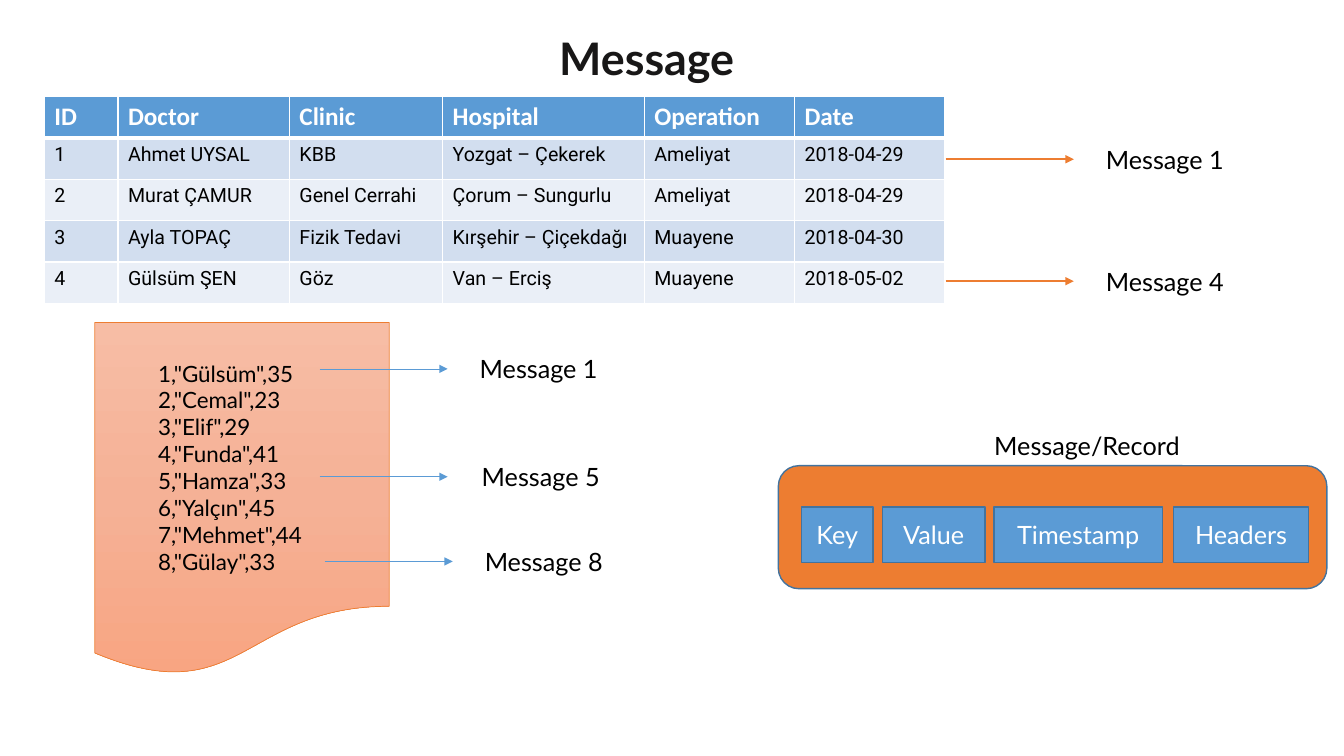
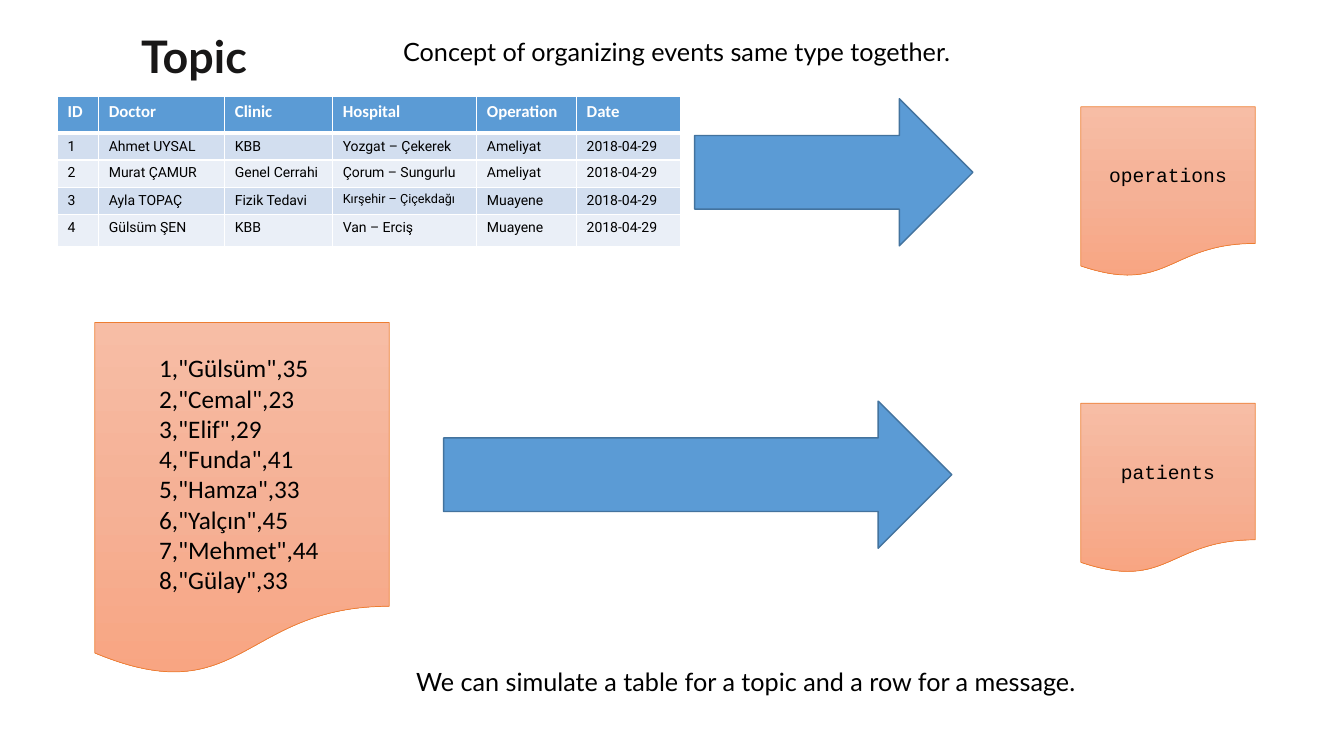
from copy import deepcopy

from lxml import etree
from pptx import Presentation
from pptx import util as u
from pptx.dml.color import RGBColor
from pptx.enum import shapes, text
from pptx.oxml import ns

PX = 9144  # EMU per px, 100 px to the inch
BLACK = RGBColor(0x00, 0x00, 0x00)
WHITE = RGBColor(0xFF, 0xFF, 0xFF)
TITLE_INK = RGBColor(0x18, 0x17, 0x17)
BLUE = RGBColor(0x5B, 0x9B, 0xD5)
BLUE_EDGE = RGBColor(0x43, 0x73, 0x9E)
ORANGE = RGBColor(0xED, 0x7D, 0x31)
BANDS = (RGBColor(0xD2, 0xDE, 0xEF), RGBColor(0xEA, 0xEF, 0xF7))
PAPER_STOPS = (
    (0, RGBColor(0xF7, 0xBD, 0xA5)),
    (0.5, RGBColor(0xF5, 0xB1, 0x96)),
    (1, RGBColor(0xF8, 0xA5, 0x82)),
)
LATO, CALIBRI, ROBOTO, COURIER = "Lato", "Calibri", "Roboto", "Courier New"
LEFT, CENTER = text.PP_ALIGN.LEFT, text.PP_ALIGN.CENTER
TOP, MIDDLE, BOTTOM = (
    text.MSO_ANCHOR.TOP, text.MSO_ANCHOR.MIDDLE, text.MSO_ANCHOR.BOTTOM)
SHAPE = shapes.MSO_SHAPE

HEADINGS = ("ID", "Doctor", "Clinic", "Hospital", "Operation", "Date")
OPERATIONS = (
    ("1", "Ahmet UYSAL", "KBB", "Yozgat – Çekerek", "Ameliyat"),
    ("2", "Murat ÇAMUR", "Genel Cerrahi", "Çorum – Sungurlu", "Ameliyat"),
    ("3", "Ayla TOPAÇ", "Fizik Tedavi", "Kırşehir – Çiçekdağı", "Muayene"),
    ("4", "Gülsüm ŞEN", "Göz", "Van – Erciş", "Muayene"),
)
PATIENTS = (
    '1,"Gülsüm",35\n2,"Cemal",23\n3,"Elif",29\n4,"Funda",41\n'
    '5,"Hamza",33\n6,"Yalçın",45\n7,"Mehmet",44\n8,"Gülay",33'
)


def px(*lengths):
    return [u.Emu(length * PX) for length in lengths]


def set_cell_borders(cell, top, bottom):
    """Draw white borders; call before the cell is filled."""
    properties = cell._tc.get_or_add_tcPr()
    for side, points in (("L", 1), ("R", 1), ("T", top), ("B", bottom)):
        line = etree.SubElement(
            properties, ns.qn(f"a:ln{side}"), w=str(u.Pt(points)))
        fill = etree.SubElement(line, ns.qn("a:solidFill"))
        etree.SubElement(fill, ns.qn("a:srgbClr"), val=str(WHITE))


class Deck:
    def __init__(self):
        self.presentation = Presentation()
        self.presentation.slide_width, self.presentation.slide_height = px(1333, 750)
        self.slide = None

    def new_slide(self):
        self.slide = self.presentation.slides.add_slide(
            self.presentation.slide_layouts[6])

    def set_text(self, frame, content, size, font=LATO, color=BLACK, bold=False,
                 align=LEFT, anchor=TOP, spacing=None):
        frame.word_wrap = True
        frame.vertical_anchor = anchor
        frame.text = content
        for paragraph in frame.paragraphs:
            paragraph.alignment = align
            paragraph.line_spacing = spacing
            paragraph.font.name = font
            paragraph.font.size = u.Pt(size)
            paragraph.font.bold = bold
            paragraph.font.color.rgb = color

    def text(self, box, content, size=18, **style):
        textbox = self.slide.shapes.add_textbox(*px(*box))
        self.set_text(textbox.text_frame, content, size, **style)

    def title(self, box, content):
        self.text(box, content, 32, color=TITLE_INK, bold=True,
                  align=CENTER, anchor=BOTTOM, spacing=0.9)

    def shape(self, kind, box, fill=BLUE, line=BLUE_EDGE, width=1):
        shape = self.slide.shapes.add_shape(kind, *px(*box))
        shape.shadow.inherit = False
        shape.fill.solid()
        shape.fill.fore_color.rgb = fill
        shape.line.color.rgb = line
        shape.line.width = u.Pt(width)
        return shape

    def field(self, box, name):
        shape = self.shape(SHAPE.RECTANGLE, box)
        self.set_text(shape.text_frame, name, 18, color=WHITE,
                      align=CENTER, anchor=MIDDLE)

    def document(self, box, name=""):
        shape = self.shape(SHAPE.FLOWCHART_DOCUMENT, box, line=ORANGE, width=0.5)
        shape.fill.gradient()
        shape.fill.gradient_angle = 270
        stop_list = shape._element.xpath(".//a:gsLst")[0]
        stop_list.insert(1, deepcopy(stop_list[0]))
        for stop, (position, color) in zip(shape.fill.gradient_stops, PAPER_STOPS):
            stop.position = position
            stop.color.rgb = color
        if name:
            self.set_text(shape.text_frame, name, 14, COURIER,
                          align=CENTER, anchor=MIDDLE)

    def labelled_arrow(self, x, y, label, color, width, gap=22):
        end = x + 127
        arrow = self.slide.shapes.add_connector(
            shapes.MSO_CONNECTOR.STRAIGHT, *px(x, y, end, y))
        arrow.line.color.rgb = color
        arrow.line.width = u.Pt(width)
        line = arrow.line._get_or_add_ln()
        etree.SubElement(line, ns.qn("a:tailEnd"), type="triangle")
        etree.SubElement(arrow._element.spPr, ns.qn("a:effectLst"))
        self.text((end + gap, y - 20, 160, 40), label)

    def table(self, x, y, widths, heights, rows, head_size, body_size):
        frame = self.slide.shapes.add_table(
            len(heights), len(widths), *px(x, y, sum(widths), sum(heights)))
        table = frame.table
        table.first_row = table.horz_banding = False
        for column, width in zip(table.columns, px(*widths)):
            column.width = width
        for row, height in zip(table.rows, px(*heights)):
            row.height = height
        for r, values in enumerate((HEADINGS, *rows)):
            for c, value in enumerate(values):
                cell = table.cell(r, c)
                if r == 0:
                    self.set_text(cell.text_frame, value, head_size, CALIBRI,
                                  WHITE, bold=True)
                else:
                    self.set_text(cell.text_frame, value, body_size, ROBOTO)
                set_cell_borders(cell, 3 if r == 1 else 1, 3 if r == 0 else 1)
                cell.fill.solid()
                cell.fill.fore_color.rgb = BANDS[(r - 1) % 2] if r else BLUE
        return table


def message_slide(deck):
    deck.new_slide()
    deck.shape(SHAPE.ROUNDED_RECTANGLE, (772, 462, 544, 122), fill=ORANGE)
    deck.text((964, 422, 228, 40), "Message/Record", align=CENTER)
    deck.title((386, 31, 511, 58), "Message")
    dates = ("2018-04-29", "2018-04-29", "2018-04-30", "2018-05-02")
    rows = [(*row, date) for row, date in zip(OPERATIONS, dates)]
    deck.table(44, 96, (73, 170, 152, 200, 149, 149), [41] * 5, rows, 18, 14)
    for y, label in ((158, "Message 1"), (279, "Message 4")):
        deck.labelled_arrow(938, y, label, ORANGE, 1.5)

    deck.document((94, 320, 292, 351))
    deck.text((147, 352, 194, 226), PATIENTS, 16)
    for x, y, label, gap in ((317, 366, "Message 1", 22),
                             (317, 473, "Message 5", 24),
                             (322, 557, "Message 8", 22)):
        deck.labelled_arrow(x, y, label, BLUE, 0.5, gap)

    for name, x, width in (("Key", 795, 71), ("Value", 875, 102),
                           ("Timestamp", 986, 167), ("Headers", 1164, 134)):
        deck.field((x, 503, width, 55), name)


def topic_slide(deck):
    deck.new_slide()
    deck.title((57, 29, 271, 58), "Topic")
    rows = [(*row, "2018-04-29") for row in OPERATIONS]
    table = deck.table(57, 96, (41, 125, 107, 143, 99, 103),
                       (36, 24, 27, 24, 32), rows, 12, 10)
    table.cell(4, 2).text_frame.paragraphs[0].runs[0].text = "KBB"
    table.cell(3, 3).text_frame.paragraphs[0].font.size = u.Pt(9)

    deck.document((94, 320, 292, 351))
    deck.text((148, 345, 183, 252), PATIENTS, font=CALIBRI)
    deck.text((390, 31, 657, 40), "Concept of organizing events same type together.")
    for x, y, width in ((689, 98, 276), (440, 398, 504)):
        deck.shape(SHAPE.RIGHT_ARROW, (x, y, width, 146))
    for y, name in ((106, "operations"), (400, "patients")):
        deck.document((1072, y, 173, 169), name)
    deck.text((403, 656, 775, 40),
              "We can simulate a table for a topic and a row for a message.")


def main():
    deck = Deck()
    message_slide(deck)
    topic_slide(deck)
    deck.presentation.save("out.pptx")


if __name__ == "__main__":
    main()
